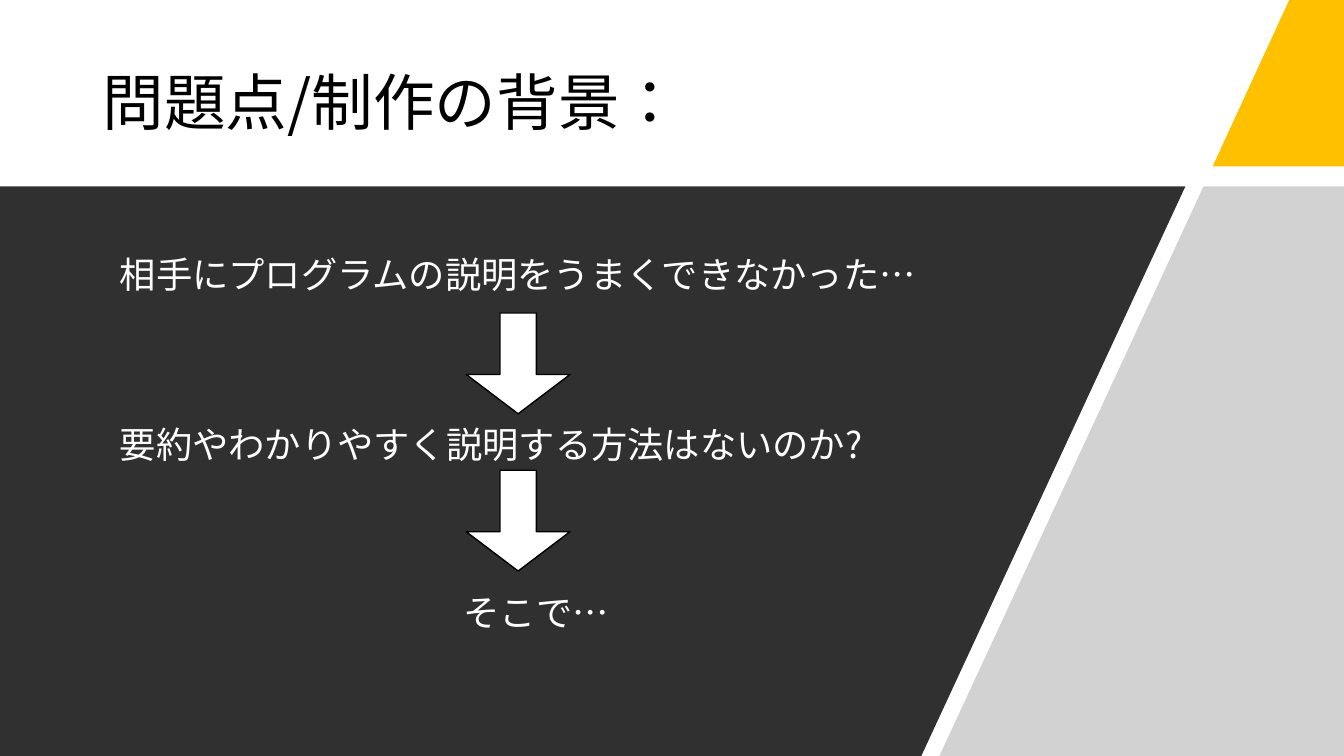
from dataclasses import dataclass

from lxml.etree import SubElement
from pptx import Presentation
from pptx.dml.color import RGBColor
from pptx.enum.shapes import MSO_SHAPE as Preset
from pptx.enum.text import MSO_ANCHOR as Anchor, PP_ALIGN as Align
from pptx.oxml.ns import qn
from pptx.util import Pt

FONT = "Noto Sans CJK JP"
WIDTH, HEIGHT = 960, 540
BAND_TOP = 133.2
WHITE, BLACK = "FFFFFF", "000000"


@dataclass
class Panel:
    points: list[tuple[float, float]]
    color: str
    opacity: int = 100


@dataclass
class TextBlock:
    text: str
    top: float
    align: Align = Align.LEFT
    left: float = 78.5
    width: float = 609.1
    height: float = 32.4
    size: float = 25.9
    color: str = WHITE
    anchor: Anchor = Anchor.TOP
    line_spacing: float = 0.8
    space_before: float = 10


PANELS = [
    Panel([(920.9, 0), (WIDTH, 0), (WIDTH, 118.8), (866.2, 118.8)], "FFC000"),
    Panel([(859.7, BAND_TOP), (WIDTH, BAND_TOP), (WIDTH, HEIGHT), (671, HEIGHT)],
          "A6A6A6", 50),
    Panel([(0, BAND_TOP), (846.7, BAND_TOP), (658.1, HEIGHT), (0, HEIGHT)], "303030"),
]

TEXTS = [
    TextBlock("問題点/制作の背景：", 28.8, left=66.2, width=780.5, height=93.6, size=44,
              color=BLACK, anchor=Anchor.MIDDLE, line_spacing=0.9, space_before=0),
    TextBlock("相手にプログラムの説明をうまくできなかった…", 182.9),
    TextBlock("要約やわかりやすく説明する方法はないのか?", 303.8),
    TextBlock("そこで…", 424.1, Align.CENTER),
]

ARROW_TOPS = [222.5, 334.8]


def set_fill(fill, color: str, opacity: int = 100) -> None:
    fill.solid()
    fill.fore_color.rgb = RGBColor.from_string(color)
    if opacity < 100:
        color_element = fill.fore_color._xFill.find(qn("a:srgbClr"))
        SubElement(color_element, qn("a:alpha"), val=str(opacity * 1000))


def add_panel(slide, panel: Panel) -> None:
    corners = [(Pt(x), Pt(y)) for x, y in panel.points]
    builder = slide.shapes.build_freeform(*corners[0])
    builder.add_line_segments(corners[1:], close=True)
    shape = builder.convert_to_shape()
    shape.shadow.inherit = False
    set_fill(shape.fill, panel.color, panel.opacity)
    shape.line.fill.background()


def add_text(slide, block: TextBlock) -> None:
    box = slide.shapes.add_textbox(
        Pt(block.left), Pt(block.top), Pt(block.width), Pt(block.height))
    frame = box.text_frame
    frame.word_wrap = True
    frame.vertical_anchor = block.anchor
    paragraph = frame.paragraphs[0]
    formats = {
        "alignment": block.align,
        "line_spacing": block.line_spacing,
        "space_before": Pt(block.space_before),
    }
    for name, value in formats.items():
        setattr(paragraph, name, value)
    run = paragraph.add_run()
    run.text = block.text
    run.font.size = Pt(block.size)
    run.font.name = FONT
    set_fill(run.font.fill, block.color)
    # East Asian text takes its own typeface
    properties = run.font._element
    properties.set("lang", "ja-JP")
    SubElement(properties, qn("a:ea"), typeface=FONT)


def add_down_arrow(slide, top: float) -> None:
    shape = slide.shapes.add_shape(
        Preset.RIGHT_ARROW, Pt(334.1), Pt(top), Pt(72), Pt(74.2))
    shape.rotation = 90
    shape.adjustments[0] = 0.35
    shape.adjustments[1] = 0.39
    shape.shadow.inherit = False
    set_fill(shape.fill, WHITE)
    set_fill(shape.line.fill, BLACK)
    shape.line.width = Pt(1)


def main() -> None:
    presentation = Presentation()
    presentation.slide_width, presentation.slide_height = Pt(WIDTH), Pt(HEIGHT)
    slide = presentation.slides.add_slide(presentation.slide_layouts[6])
    set_fill(slide.background.fill, WHITE)

    # Background panels
    for panel in PANELS:
        add_panel(slide, panel)

    # Title and the three steps
    for block in TEXTS:
        add_text(slide, block)

    # Arrows between the steps
    for top in ARROW_TOPS:
        add_down_arrow(slide, top)

    presentation.save("out.pptx")


if __name__ == "__main__":
    main()
